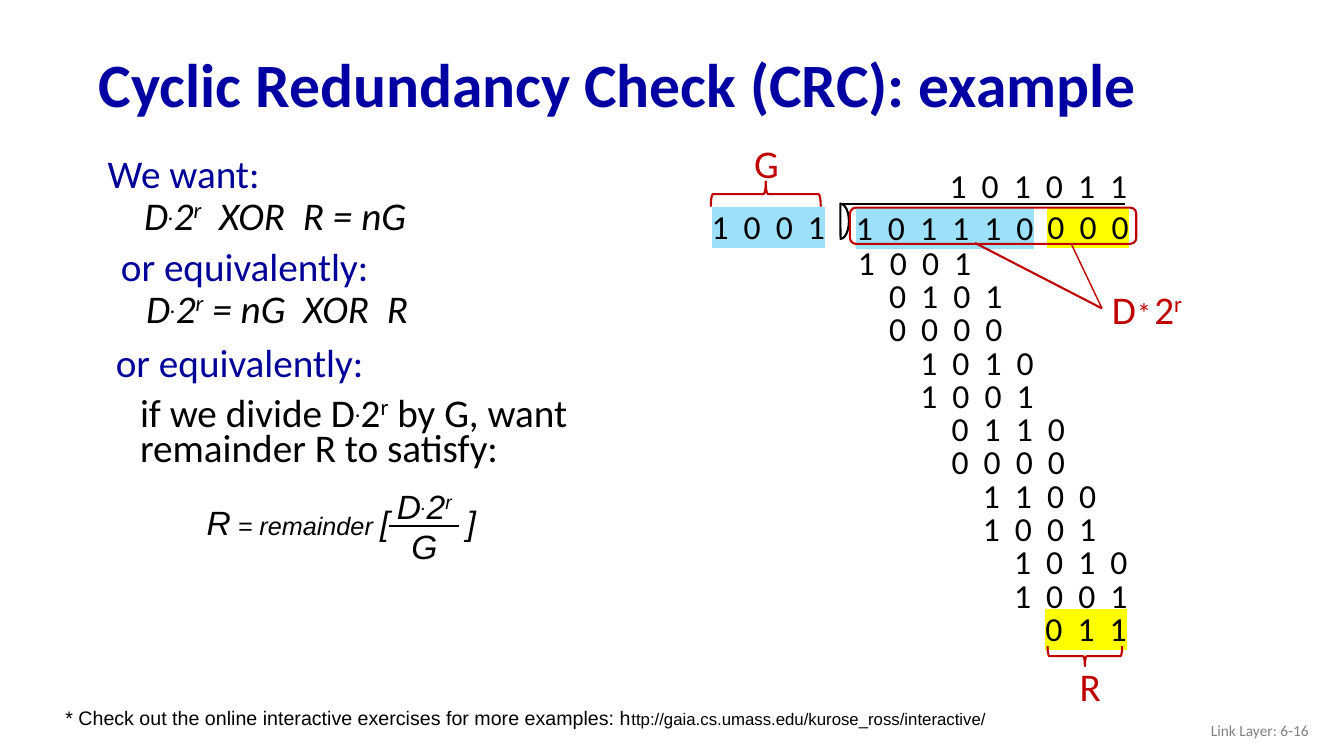
from dataclasses import dataclass

from lxml.etree import SubElement
from pptx import Presentation
from pptx.dml.color import RGBColor
from pptx.enum.shapes import MSO_CONNECTOR, MSO_SHAPE
from pptx.enum.text import MSO_ANCHOR, PP_ALIGN
from pptx.oxml.ns import qn
from pptx.util import Inches, Pt


@dataclass(frozen=True)
class Theme:
    heading: str = "0000A3"
    label: str = "000099"
    ink: str = "000000"
    accent: str = "C00000"
    grey: str = "808080"
    data_fill: str = "9CE0FA"
    rest_fill: str = "FFFF00"
    body_font: str = "Calibri"
    math_font: str = "Arial"
    title: float = 44
    body: float = 28
    digit: float = 24
    star: float = 20
    small_math: float = 18
    note: float = 14
    link: float = 12
    footer: float = 11


T = Theme()
# Each piece is (text, run options)
D2R = [("D", {}), (".", {"base": 26}), ("2", {}), ("r", {"base": 30})]
XOR = [(" ", {"spc": 6.3}), ("XOR", {}), (" ", {"spc": 6.3})]


def add_run(p, text, size=T.body, color=T.ink, font=T.body_font, bold=False,
            italic=False, base=0, spc=0, fill=None):
    """Add a run; base is the raise in percent, spc the letter spacing in points."""
    r = p.add_run()
    r.text = text
    f = r.font
    f.size, f.name, f.bold, f.italic = Pt(size), font, bold, italic
    f.color.rgb = RGBColor.from_string(color)
    rPr = r._r.get_or_add_rPr()
    if base:
        rPr.set("baseline", str(base * 1000))
    if spc:
        rPr.set("spc", str(round(spc * 100)))
    if fill:
        highlight = rPr.makeelement(qn("a:highlight"), {})
        SubElement(highlight, qn("a:srgbClr"), val=fill)
        rPr.find(qn("a:solidFill")).addnext(highlight)


def add_runs(p, pieces, **common):
    for text, options in pieces:
        add_run(p, text, **{**common, **options})


def add_box(s, left, top, width, height, wrap=True, anchor=MSO_ANCHOR.TOP):
    tf = s.shapes.add_textbox(Inches(left), Inches(top),
                              Inches(width), Inches(height)).text_frame
    tf.word_wrap = wrap
    tf.vertical_anchor = anchor
    return tf


def add_label(s, left, top, width, height, pieces, wrap=False, **common):
    p = add_box(s, left, top, width, height, wrap).paragraphs[0]
    add_runs(p, pieces, **common)
    return p


def add_digits(s, left, top, digits, fill=None):
    text = " ".join(digits)
    width = 0.41 + 0.32 * (len(digits) - 1)
    add_label(s, left, top, width, 0.5, [(text, {})],
              size=T.digit, spc=2.7 if len(digits) > 1 else 0, fill=fill)


def format_step(p, margin, indent, before=0):
    pPr = p._p.get_or_add_pPr()
    pPr.set("marL", str(Inches(margin)))
    pPr.set("indent", str(Inches(indent)))
    p.line_spacing = 0.75
    if before:
        p.space_before = Pt(before)


def add_statement(s, left, top, height, label, hang, pieces, margin, indent, before, italic):
    """A blue lead-in with the formula or sentence under it."""
    tf = add_box(s, left, top, 5.45, height)
    p = tf.paragraphs[0]
    format_step(p, 0.39, hang)
    add_run(p, label, color=T.label)
    p = tf.add_paragraph()
    format_step(p, margin, indent, before)
    add_runs(p, pieces, italic=italic)


def add_line(s, x1, y1, x2, y2, color=T.accent, width=1.5):
    c = s.shapes.add_connector(MSO_CONNECTOR.STRAIGHT, Inches(x1), Inches(y1),
                               Inches(x2), Inches(y2))
    c.line.color.rgb = RGBColor.from_string(color)
    c.line.width = Pt(width)
    SubElement(c._element.spPr, qn("a:effectLst"))


def add_outline(s, kind, left, top, width, height, rotation=0, color=T.accent):
    sp = s.shapes.add_shape(kind, Inches(left), Inches(top), Inches(width), Inches(height))
    sp.shadow.inherit = False
    sp.fill.background()
    sp.line.color.rgb = RGBColor.from_string(color)
    sp.line.width = Pt(1.5)
    sp.rotation = rotation
    return sp


def add_statements(s):
    add_statement(s, 0.82, 1.54, 1.14, "We want:", -0.24,
                  D2R + XOR + [(" R = nG", {})][:0] + [("R = nG", {})],
                  0.76, -0.25, 5, True)
    add_statement(s, 0.84, 2.46, 0.96, "or equivalently:", -0.13,
                  D2R + [(" = nG", {})] + XOR + [("R", {})], 0.76, -0.25, 5, True)
    add_statement(s, 0.79, 3.42, 1.37, "or equivalently:", -0.13,
                  [("if we divide ", {})] + D2R
                  + [(" by G, want remainder R to satisfy:", {})], 0.5, 0, 10, False)


def add_remainder_formula(s):
    math = {"size": T.digit, "font": T.math_font, "italic": True}
    tf = add_box(s, 3.48, 4.77, 1.46, 0.9)
    numerator, denominator = tf.paragraphs[0], tf.add_paragraph()
    numerator.alignment = denominator.alignment = PP_ALIGN.CENTER
    add_runs(numerator, D2R, **math)
    add_run(denominator, "G", **math)
    add_line(s, 3.86, 5.22, 4.55, 5.22, T.ink)
    p = add_box(s, 1.95, 4.93, 3.05, 0.52).paragraphs[0]
    tabs = SubElement(p._p.get_or_add_pPr(), qn("a:tabLst"))
    SubElement(tabs, qn("a:tab"), pos=str(Inches(2.58)), algn="l")
    add_runs(p, [("R", {}), (" = remainder ", {"size": T.small_math}),
                 ("[", {}), ("\t", {}), ("]", {})], **math)


def add_division(s):
    steps = [(0, "1001"), (1, "0101"), (1, "0000"), (2, "1010"), (2, "1001"),
             (3, "0110"), (3, "0000"), (4, "1100"), (4, "1001"),
             (5, "1010"), (5, "1001"), (6, "011")]
    for i, (column, digits) in enumerate(steps):
        last = i == len(steps) - 1
        add_digits(s, 8.41 + 0.31 * column, 2.35 + 0.33 * i, digits,
                   T.rest_fill if last else None)
    add_digits(s, 9.32, 1.59, "101011")
    add_digits(s, 6.96, 1.99, "1001", T.data_fill)
    add_line(s, 8.35, 2.02, 11.16, 2.02, T.ink)
    bracket = add_outline(s, MSO_SHAPE.PIE, 8.16, 2.11, 0.35, 0.17, 270, T.ink)
    bracket.adjustments[0], bracket.adjustments[1] = 0, 107.54
    add_digits(s, 10.29, 1.99, "000", T.rest_fill)
    add_digits(s, 8.39, 2, "101110", T.data_fill)


def add_callouts(s):
    add_outline(s, MSO_SHAPE.RIGHT_BRACE, 7.47, 1.38, 0.25, 1.09, 270)
    add_outline(s, MSO_SHAPE.RIGHT_BRACE, 10.66, 6.14, 0.2, 0.74, 90)
    add_outline(s, MSO_SHAPE.ROUNDED_RECTANGLE, 8.43, 2.06, 2.84, 0.36)
    add_line(s, 9.67, 2.41, 10.93, 3.06)
    add_line(s, 10.63, 2.43, 10.93, 3.06, width=1)
    for left, top, width, pieces in [
            (7.38, 1.33, 0.45, [("G", {})]),
            (10.61, 6.52, 0.42, [("R", {})]),
            (10.93, 2.78, 0.44, [("D", {})]),
            (11.18, 2.88, 0.34, [("*", {"size": T.star})]),
            (11.35, 2.78, 0.49, [("2", {}), ("r", {"base": 30})])]:
        add_label(s, left, top, width, 0.57, pieces, color=T.accent)


def main():
    prs = Presentation()
    prs.slide_width, prs.slide_height = Inches(13.33), Inches(7.5)
    s = prs.slides.add_slide(prs.slide_layouts[6])
    p = add_box(s, 0.88, 0.38, 11.5, 0.98, anchor=MSO_ANCHOR.MIDDLE).paragraphs[0]
    p.line_spacing = 0.9
    add_run(p, "Cyclic Redundancy Check (CRC): example", T.title, T.heading, bold=True)
    add_statements(s)
    add_remainder_formula(s)
    add_division(s)
    add_callouts(s)
    add_label(s, 0.55, 6.95, 10.43, 0.34, [
        ("* Check out the online interactive exercises for more examples: h", {}),
        ("ttp://gaia.cs.umass.edu/kurose_ross/interactive/", {"size": T.link})],
        wrap=True, size=T.note, font=T.math_font)
    p = add_box(s, 10.08, 7.05, 3, 0.4, anchor=MSO_ANCHOR.MIDDLE).paragraphs[0]
    p.alignment = PP_ALIGN.RIGHT
    add_run(p, "Link Layer: 6-16", T.footer, T.grey)
    prs.save("out.pptx")


if __name__ == "__main__":
    main()
